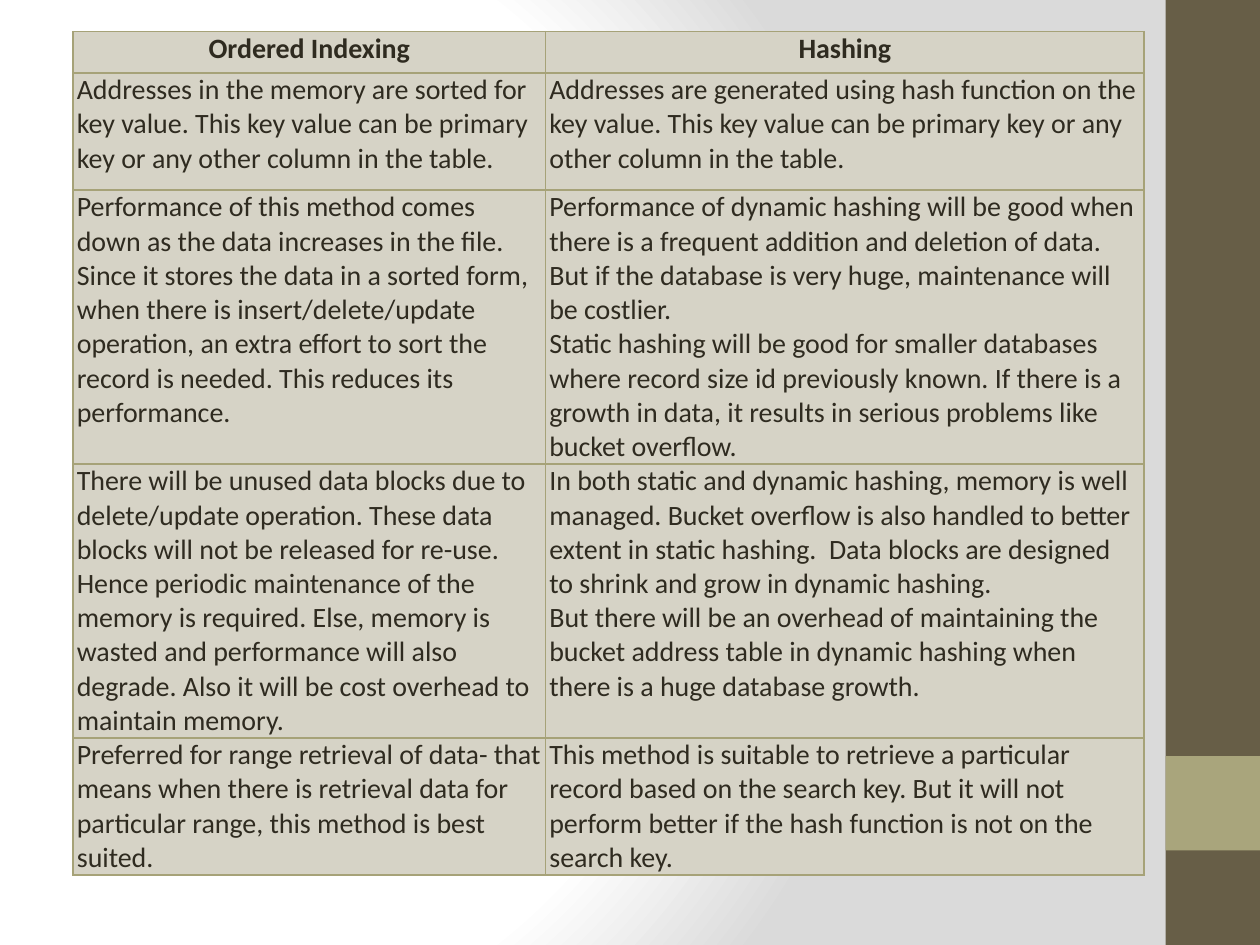
from dataclasses import dataclass

from lxml import etree
from pptx import Presentation
from pptx.dml.color import RGBColor
from pptx.enum import shapes, text
from pptx.oxml import ns, parse_xml
from pptx.util import Inches, Pt


@dataclass(frozen=True)
class Theme:
    font: str = "Calibri"
    size: int = 16
    ink: str = "2F2B20"
    cell: str = "D6D3C6"
    border: str = "A6A278"
    border_width: int = 1
    sidebar: str = "675E47"
    accent: str = "A9A57C"
    light: str = "FFFFFF"
    shade: str = "DADADA"


@dataclass(frozen=True)
class Block:
    top: float
    height: float
    color: str


THEME = Theme()

# Each cell is a tuple of paragraphs
ROWS = [
    (("Ordered Indexing",), ("Hashing",)),
    (("Addresses in the memory are sorted for key value. This key value can be "
      "primary key or any other column in the table.",),
     ("Addresses are generated using hash function on the key value. This key "
      "value can be primary key or any other column in the table.",)),
    (("Performance of this method comes down as the data increases in the file. "
      "Since it stores the data in a sorted form, when there is "
      "insert/delete/update operation, an extra effort to sort the record is "
      "needed. This reduces its performance.",),
     ("Performance of dynamic hashing will be good when there is a frequent "
      "addition and deletion of data. But if the database is very huge, "
      "maintenance will be costlier.",
      "Static hashing will be good for smaller databases where record size id "
      "previously known. If there is a growth in data, it results in serious "
      "problems like bucket overflow.")),
    (("There will be unused data blocks due to delete/update operation. These "
      "data blocks will not be released for re-use. Hence periodic maintenance "
      "of the memory is required. Else, memory is wasted and performance will "
      "also degrade. Also it will be cost overhead to maintain memory.",),
     ("In both static and dynamic hashing, memory is well managed. Bucket "
      "overflow is also handled to better extent in static hashing.  Data "
      "blocks are designed to shrink and grow in dynamic hashing.",
      "But there will be an overhead of maintaining the bucket address table in "
      "dynamic hashing when there is a huge database growth.")),
    (("Preferred for range retrieval of data- that means when there is retrieval "
      "data for particular range, this method is best suited.",),
     ("This method is suitable to retrieve a particular record based on the "
      "search key. But it will not perform better if the hash function is not "
      "on the search key.",)),
]
COLUMN_WIDTHS = (3.75, 4.75)
ROW_HEIGHTS = (0.33, 0.93, 2, 1.8, 0.86)
SIDEBAR_BLOCKS = (Block(0, 7.5, THEME.sidebar), Block(6, 0.75, THEME.accent))


def set_background(slide) -> None:
    """Fill the slide with a radial gradient."""
    slide.background.fill.gradient()
    old = slide.element.find(".//" + ns.qn("a:gradFill"))
    stops = ((0, THEME.light), (75, THEME.light), (100, THEME.shade))
    stop_xml = "".join(
        f'<a:gs pos="{position * 1000}"><a:srgbClr val="{color}"/></a:gs>'
        for position, color in stops)
    old.getparent().replace(old, parse_xml(
        f'<a:gradFill {ns.nsdecls("a")} rotWithShape="1"><a:gsLst>{stop_xml}</a:gsLst>'
        '<a:path path="circle"><a:fillToRect l="20000" t="50000" r="100000" b="50000"/>'
        '</a:path></a:gradFill>'))


def add_block(slide, block: Block) -> None:
    shape = slide.shapes.add_shape(
        shapes.MSO_SHAPE.RECTANGLE, Inches(9.25), Inches(block.top),
        Inches(0.75), Inches(block.height))
    shape.shadow.inherit = False
    shape.fill.solid()
    shape.fill.fore_color.rgb = RGBColor.from_string(block.color)
    shape.line.fill.background()


def write_text(frame, paragraphs: tuple[str, ...], *, bold: bool = False,
               align=text.PP_ALIGN.LEFT) -> None:
    for index, words in enumerate(paragraphs):
        paragraph = frame.add_paragraph() if index else frame.paragraphs[0]
        paragraph.alignment = align
        run = paragraph.add_run()
        run.text = words
        run.font.name = THEME.font
        run.font.size = Pt(THEME.size)
        run.font.bold = bold
        run.font.color.rgb = RGBColor.from_string(THEME.ink)


def style_cell(cell) -> None:
    cell.margin_left = cell.margin_right = Inches(0.03)
    cell.margin_top = cell.margin_bottom = 0
    properties = cell._tc.get_or_add_tcPr()
    for side in ("a:lnL", "a:lnR", "a:lnT", "a:lnB"):
        line = etree.SubElement(properties, ns.qn(side), w=str(Pt(THEME.border_width)))
        fill = etree.SubElement(line, ns.qn("a:solidFill"))
        etree.SubElement(fill, ns.qn("a:srgbClr"), val=THEME.border)
    cell.fill.solid()
    cell.fill.fore_color.rgb = RGBColor.from_string(THEME.cell)


def add_comparison(slide) -> None:
    frame = slide.shapes.add_table(
        len(ROWS), len(COLUMN_WIDTHS), Inches(0.58), Inches(0.25),
        Inches(sum(COLUMN_WIDTHS)), Inches(sum(ROW_HEIGHTS)))
    table = frame.table
    table.horz_banding = False
    for column, width in zip(table.columns, COLUMN_WIDTHS):
        column.width = Inches(width)
    for index, (row, height, contents) in enumerate(zip(table.rows, ROW_HEIGHTS, ROWS)):
        row.height = Inches(height)
        header = index == 0
        for cell, paragraphs in zip(row.cells, contents):
            style_cell(cell)
            write_text(cell.text_frame, paragraphs, bold=header,
                       align=text.PP_ALIGN.CENTER if header else text.PP_ALIGN.LEFT)
    frame.height = Inches(6.59)


def main() -> None:
    presentation = Presentation()
    presentation.slide_width = Inches(10)
    presentation.slide_height = Inches(7.5)
    slide = presentation.slides.add_slide(presentation.slide_layouts[6])

    # Background and sidebar
    set_background(slide)
    for block in SIDEBAR_BLOCKS:
        add_block(slide, block)

    # Comparison table
    add_comparison(slide)
    presentation.save("out.pptx")


if __name__ == "__main__":
    main()
